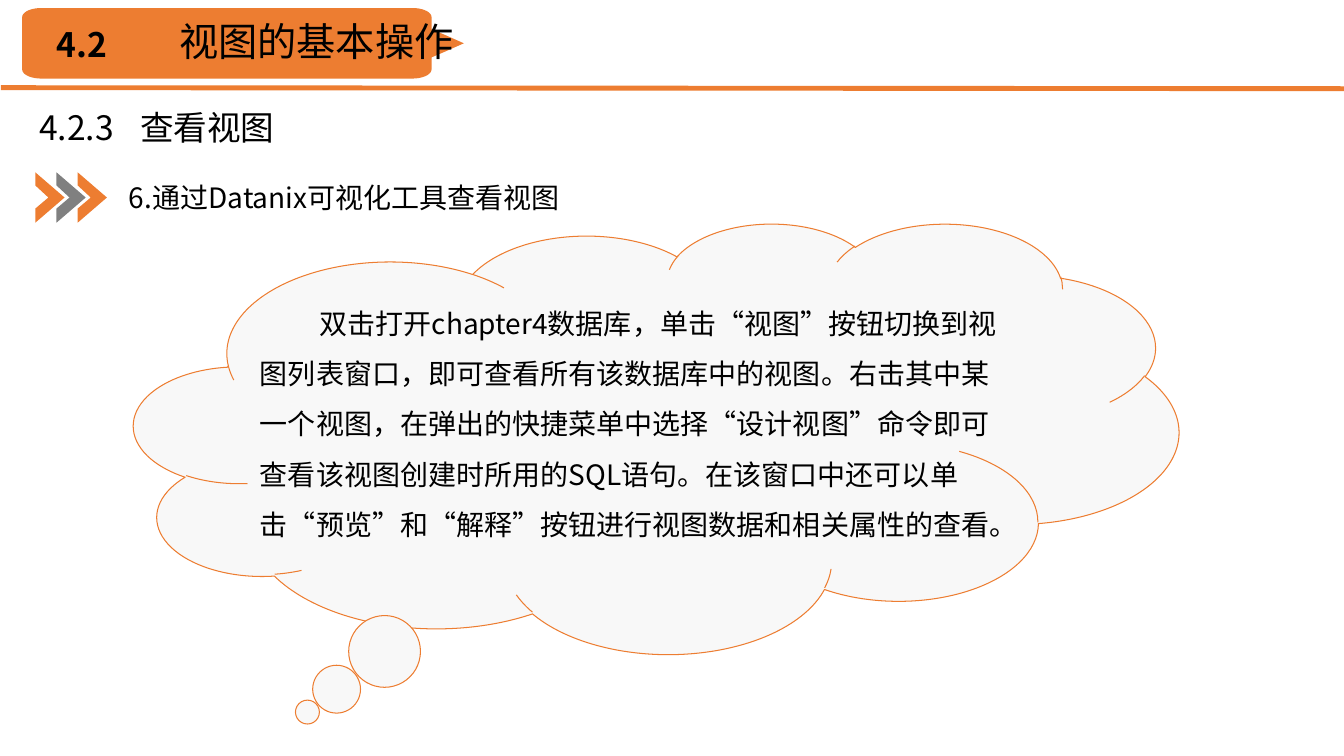
import math
from dataclasses import dataclass

from lxml import etree
from pptx import Presentation
from pptx import util as u
from pptx.dml.color import RGBColor
from pptx.enum import shapes, text
from pptx.oxml.ns import qn

PX = 9144
FONT = "Noto Sans CJK SC"
ORANGE, GREY, PALE, BLACK = "ED7D31", "808080", "F8F8F8", "000000"

Point = tuple[float, float]


@dataclass(frozen=True)
class Label:
    words: str
    left: int
    top: int
    width: int
    height: int
    size: int
    bold: bool = False
    indent: int = 0
    tab: int = 0
    spacing: float = 1.0


@dataclass(frozen=True)
class Chevron:
    left: int
    color: str


LABELS = [
    Label("4.2", 46, 19, 95, 50, 24, bold=True),
    Label("视图的基本操作", 168, 12, 492, 57, 28),
    Label("4.2.3\t查看视图", 29, 101, 492, 50, 24, tab=104),
    Label("6.通过Datanix可视化工具查看视图", 118, 174, 700, 44, 20),
    Label(
        "双击打开chapter4数据库，单击“视图”按钮切换到视图列表窗口，"
        "即可查看所有该数据库中的视图。右击其中某一个视图，"
        "在弹出的快捷菜单中选择“设计视图”命令即可查看该视图创建时所用的SQL语句。"
        "在该窗口中还可以单击“预览”和“解释”按钮进行视图数据和相关属性的查看。",
        248, 282, 758, 262, 20, indent=59, spacing=1.5,
    ),
]
CHEVRONS = [Chevron(35 + 21 * i, c) for i, c in enumerate((ORANGE, GREY, ORANGE))]
CHEVRON_TOP = 171
CHEVRON_OUTLINE = [(0, 0), (29, 25), (0, 50), (0, 36), (13, 25), (0, 13)]


def px(length: float) -> int:
    return round(length * PX)


def rgb(color: str) -> RGBColor:
    return RGBColor.from_string(color)


def corner(x: int, y: int, start: int) -> list[Point]:
    angles = [math.radians(start + step) for step in range(0, 91, 10)]
    return [(x + 19 * math.cos(a), y + 9 * math.sin(a)) for a in angles]


def draw_outline(slide, points: list[Point], color: str) -> None:
    start, *rest = [(px(x), px(y)) for x, y in points]
    builder = slide.shapes.build_freeform(*start)
    builder.add_line_segments(rest, close=True)
    outline = builder.convert_to_shape()
    outline.shadow.inherit = False
    outline.fill.solid()
    outline.fill.fore_color.rgb = rgb(color)
    outline.line.fill.background()


def draw_rule(slide) -> None:
    rule = slide.shapes.add_connector(
        shapes.MSO_CONNECTOR.STRAIGHT, px(1), px(87), px(1336), px(88)
    )
    rule.line.color.rgb = rgb(ORANGE)
    rule.line.width = u.Pt(3.5)
    etree.SubElement(rule._element.spPr, qn("a:effectLst"))


def draw_banner(slide) -> None:
    arrow = [(428, 29), (442, 35), (460, 43), (442, 51), (428, 57)]
    points = (
        corner(41, 17, 180) + corner(409, 17, 270) + arrow
        + corner(409, 69, 0) + corner(41, 69, 90)
    )
    draw_outline(slide, points, ORANGE)


def draw_chevron(slide, chevron: Chevron) -> None:
    points = [(chevron.left + x, CHEVRON_TOP + y) for x, y in CHEVRON_OUTLINE]
    draw_outline(slide, points, chevron.color)


def draw_cloud(slide) -> None:
    cloud = slide.shapes.add_shape(
        shapes.MSO_SHAPE.CLOUD_CALLOUT, px(133), px(221), px(1036), px(427)
    )
    cloud.adjustments[0] = -0.334
    cloud.adjustments[1] = 0.637
    cloud.shadow.inherit = False
    cloud.fill.solid()
    cloud.fill.fore_color.rgb = rgb(PALE)
    cloud.line.color.rgb = rgb(ORANGE)
    cloud.line.width = u.Pt(0.75)


def draw_label(slide, label: Label) -> None:
    box = slide.shapes.add_textbox(
        px(label.left), px(label.top), px(label.width), px(label.height)
    )
    frame = box.text_frame
    frame.word_wrap = True
    frame.auto_size = text.MSO_AUTO_SIZE.SHAPE_TO_FIT_TEXT
    paragraph = frame.paragraphs[0]
    paragraph.text = label.words
    paragraph.line_spacing = label.spacing
    properties = paragraph._p.get_or_add_pPr()
    properties.set("marL", "0")
    properties.set("indent", str(px(label.indent)))
    if label.tab:
        stops = etree.SubElement(properties, qn("a:tabLst"))
        etree.SubElement(stops, qn("a:tab"), pos=str(px(label.tab)), algn="l")
    font = paragraph.font
    font.size = u.Pt(label.size)
    font.bold = label.bold
    font.color.rgb = rgb(BLACK)
    font.name = FONT
    defaults = properties.find(qn("a:defRPr"))
    etree.SubElement(defaults, qn("a:ea"), typeface=FONT)


def main() -> None:
    deck = Presentation()
    deck.slide_width, deck.slide_height = px(1333), px(750)
    slide = deck.slides.add_slide(deck.slide_layouts[6])
    draw_rule(slide)
    draw_banner(slide)
    for chevron in CHEVRONS:
        draw_chevron(slide, chevron)
    draw_cloud(slide)
    for label in LABELS:
        draw_label(slide, label)
    deck.save("out.pptx")


if __name__ == "__main__":
    main()
